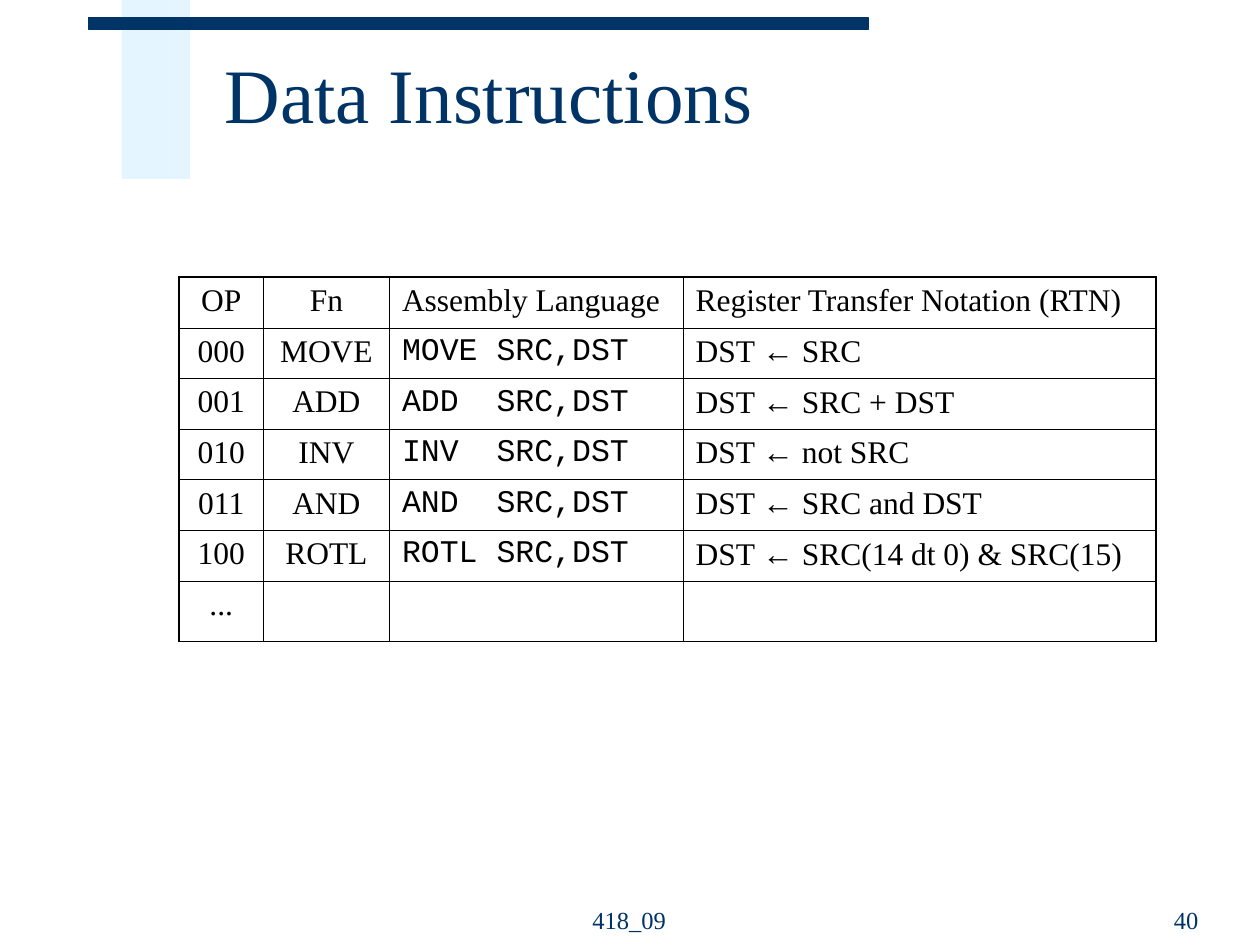
from lxml import etree
from pptx import Presentation
from pptx import util as u
from pptx.dml.color import RGBColor
from pptx.enum import shapes, text
from pptx.oxml.ns import qn

NAVY = RGBColor(0x00, 0x33, 0x66)
PALE_BLUE = RGBColor(0xCC, 0xEC, 0xFF)
BLACK = RGBColor(0x00, 0x00, 0x00)
SERIF, MONO, SYMBOL = "Times New Roman", "Courier New", "Arial"
ARROW = "←"
THICK, THIN = 1.08, 0.45

INSTRUCTIONS = [
    ("OP", "Fn", "Assembly Language", "Register Transfer Notation (RTN)"),
    ("000", "MOVE", "MOVE SRC,DST", "DST ← SRC"),
    ("001", "ADD", "ADD  SRC,DST", "DST ← SRC + DST"),
    ("010", "INV", "INV  SRC,DST", "DST ← not SRC"),
    ("011", "AND", "AND  SRC,DST", "DST ← SRC and DST"),
    ("100", "ROTL", "ROTL SRC,DST", "DST ← SRC(14 dt 0) & SRC(15)"),
    ("...", "", "", ""),
]
COLUMN_WIDTHS = (1.7, 2.54, 5.92, 9.53)
ROW_HEIGHT, LAST_ROW_HEIGHT = 1.02, 1.21


def write(frame, words, font=SERIF, size=18, color=BLACK,
          align=text.PP_ALIGN.LEFT, anchor=text.MSO_ANCHOR.TOP, spacing=None):
    """Fill a text frame, setting any arrow in the symbol font."""
    frame.word_wrap = True
    frame.vertical_anchor = anchor
    paragraph = frame.paragraphs[0]
    paragraph.alignment = align
    if spacing:
        paragraph.line_spacing = spacing
    for part in filter(None, words.partition(ARROW)):
        run = paragraph.add_run()
        run.text = part
        run.font.name = SYMBOL if part == ARROW else font
        run.font.size = u.Pt(size)
        run.font.color.rgb = color


def place(shape, box):
    shape.left, shape.top, shape.width, shape.height = map(u.Cm, box)


def add_bar(slide, box, color, alpha=None):
    bar = slide.shapes.add_shape(shapes.MSO_SHAPE.RECTANGLE, *map(u.Cm, box))
    bar.shadow.inherit = False
    bar.fill.solid()
    bar.fill.fore_color.rgb = color
    if alpha is None:
        bar.line.color.rgb = color
        bar.line.width = u.Pt(0.75)
    else:
        bar.line.fill.background()
        fill_color = bar.fill._xPr.find(qn("a:solidFill"))[0]
        etree.SubElement(fill_color, qn("a:alpha"), val=str(alpha * 1000))


def add_header(slide, box):
    """Two crossing bars and the title, set out from the box's corner."""
    left, top, width, height = box
    add_bar(slide, (left + 0.68, top, 1.37, height), PALE_BLUE, alpha=50)
    add_bar(slide, (left, top + 0.36, 15.72, 0.23), NAVY)
    title = slide.shapes.title
    place(title, (left + 2.49, top + 0.43, width - 2.49, height - 0.43))
    write(title.text_frame, "Data Instructions", size=44, color=NAVY,
          anchor=text.MSO_ANCHOR.MIDDLE, spacing=0.85)


def set_borders(cell, **widths):
    properties = cell._tc.get_or_add_tcPr()
    for index, side in enumerate("LRTB"):
        line = etree.Element(qn(f"a:ln{side}"), w=str(u.Pt(widths[side])))
        fill = etree.SubElement(line, qn("a:solidFill"))
        etree.SubElement(fill, qn("a:srgbClr"), val=str(BLACK))
        properties.insert(index, line)


def add_instruction_table(slide, box):
    rows, columns = len(INSTRUCTIONS), len(COLUMN_WIDTHS)
    table = slide.shapes.add_table(rows, columns, *map(u.Cm, box)).table
    table.first_row = table.horz_banding = False
    for column, width in zip(table.columns, COLUMN_WIDTHS):
        column.width = u.Cm(width)
    for row in table.rows:
        row.height = u.Cm(ROW_HEIGHT)
    table.rows[rows - 1].height = u.Cm(LAST_ROW_HEIGHT)

    for r, entries in enumerate(INSTRUCTIONS):
        for c, entry in enumerate(entries):
            cell = table.cell(r, c)
            cell.fill.background()
            set_borders(cell,
                        L=THICK if c == 0 else THIN,
                        R=THICK if c == columns - 1 else THIN,
                        T=THICK if r == 0 else THIN,
                        B=THIN)
            write(cell.text_frame, entry,
                  font=MONO if r > 0 and c == 2 else SERIF,
                  align=text.PP_ALIGN.CENTER if c < 2 else text.PP_ALIGN.LEFT)


def add_footer(slide, box):
    """Course label in the middle and page number at the right."""
    left, top, width, height = box
    number_width = 6.1
    for words, x, w, align in (
        ("418_09", left, 4.65, text.PP_ALIGN.CENTER),
        ("40", left + width - number_width, number_width, text.PP_ALIGN.RIGHT),
    ):
        note = slide.shapes.add_textbox(*map(u.Cm, (x, top, w, height)))
        write(note.text_frame, words, size=14, color=NAVY, align=align,
              anchor=text.MSO_ANCHOR.BOTTOM)


def main():
    deck = Presentation()
    deck.slide_width, deck.slide_height = u.Cm(25.4), u.Cm(19.05)
    slide = deck.slides.add_slide(deck.slide_layouts.get_by_name("Title Only"))
    add_header(slide, (1.78, 0, 22.99, 3.61))
    table_height = ROW_HEIGHT * (len(INSTRUCTIONS) - 1) + LAST_ROW_HEIGHT
    add_instruction_table(slide, (3.61, 5.59, sum(COLUMN_WIDTHS), table_height))
    add_footer(slide, (10.36, 17.7, 14.05, 1.27))
    deck.save("out.pptx")


if __name__ == "__main__":
    main()
